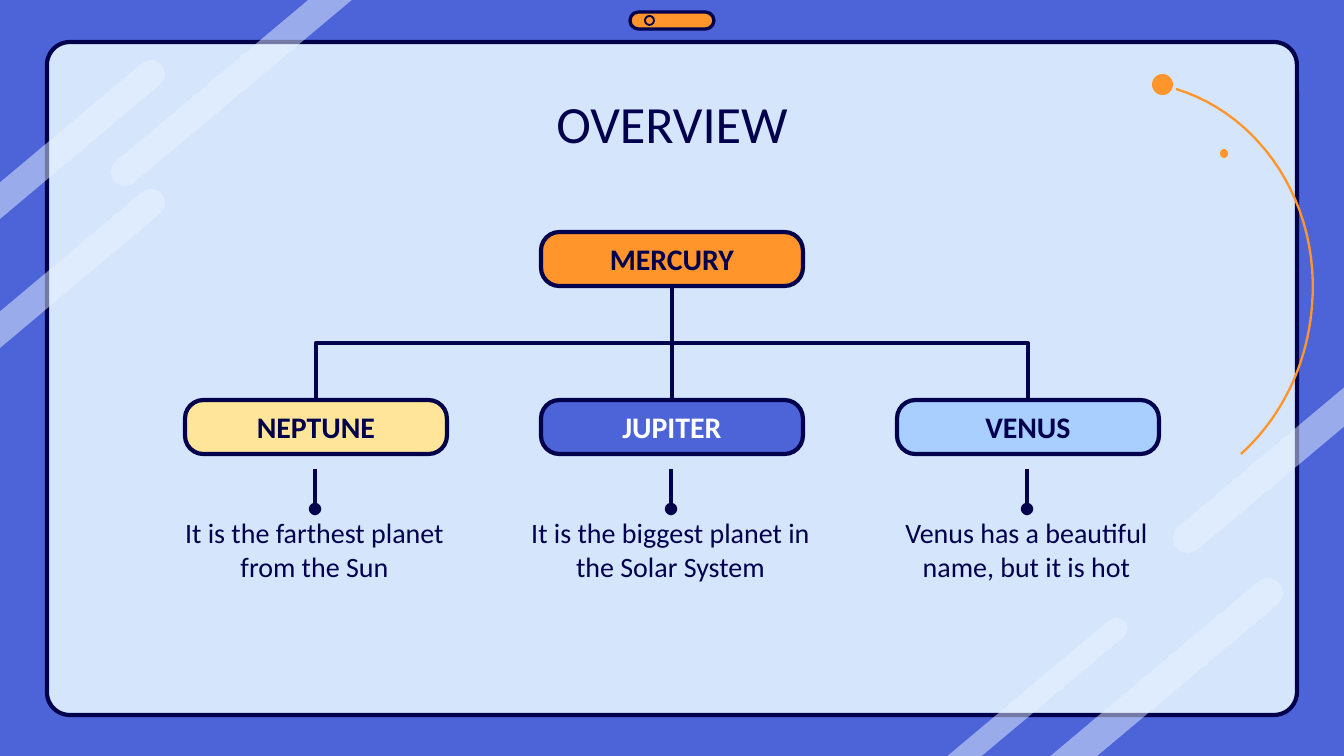
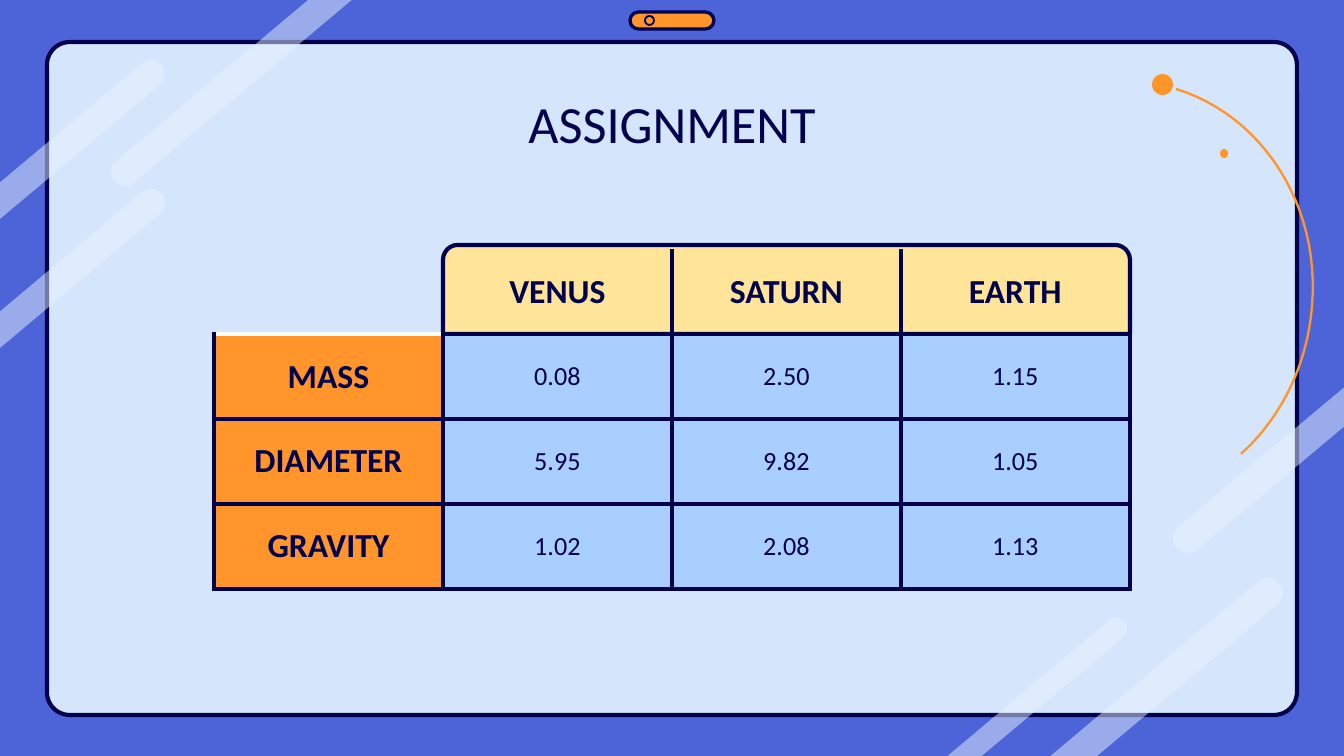
"""Build a planet overview slide and a planet data table slide."""
import math
from typing import NamedTuple, Optional

import pptx
import pptx.dml.color
import pptx.enum.shapes
import pptx.enum.text
import pptx.oxml
import pptx.oxml.ns
import pptx.util

SLIDE_WIDTH, SLIDE_HEIGHT = 1344, 756
EMU_PER_PX = 9144000 / SLIDE_WIDTH
FONT = "Calibri"
NAVY, BLUE, SKY, PANEL = "00004D", "4C64D8", "A8CFFF", "D5E6FC"
ORANGE, CREAM, GLARE, WHITE = "FF952B", "FFE599", "E9F3FF", "FFFFFF"
LINE_POINTS = 2.25
INSET = 13
STRIPE_ANGLE = 40
SHAPES = pptx.enum.shapes.MSO_SHAPE
CONNECTORS = pptx.enum.shapes.MSO_CONNECTOR
ANCHORS = pptx.enum.text.MSO_ANCHOR
qn = pptx.oxml.ns.qn


class Box(NamedTuple):
    left: int
    top: int
    width: int
    height: int


class Point(NamedTuple):
    x: float
    y: float


class Stripe(NamedTuple):
    cap: Point
    radius: int
    edge_x: Optional[int] = None
    edge_y: Optional[int] = None


class Planet(NamedTuple):
    name: str
    fill: str
    text_color: str
    description: str


STRIPES = [
    Stripe(Point(1268, 593), 15, edge_y=SLIDE_HEIGHT),
    Stripe(Point(1116, 629), 11, edge_y=SLIDE_HEIGHT),
    Stripe(Point(125, 172), 14, edge_y=0),
    Stripe(Point(151, 74), 14, edge_x=0),
    Stripe(Point(151, 203), 14, edge_x=0),
    Stripe(Point(1188, 538), 15, edge_x=SLIDE_WIDTH),
]
ORBIT_CURVES = [
    (Point(1176, 89), Point(1261, 115), Point(1321, 204), Point(1312, 307)),
    (Point(1312, 307), Point(1307, 367), Point(1280, 419), Point(1241, 454)),
]
PLANETS = [
    Planet("NEPTUNE", CREAM, NAVY, "It is the farthest planet from the Sun"),
    Planet("JUPITER", BLUE, WHITE, "It is the biggest planet in the Solar System"),
    Planet("VENUS", SKY, NAVY, "Venus has a beautiful name, but it is hot"),
]
TABLE_ROWS = [
    ["", "VENUS", "SATURN", "EARTH"],
    ["MASS", "0.08", "2.50", "1.15"],
    ["DIAMETER", "5.95", "9.82", "1.05"],
    ["GRAVITY", "1.02", "2.08", "1.13"],
]
NODE_WIDTH, NODE_HEIGHT, NODE_PITCH = 262, 54, 356
NODE_LEFT, ROOT_TOP, CHILD_TOP = 185, 232, 400
COLUMN_WIDTH, ROW_HEIGHT = 229, 85


def px(length: float) -> pptx.util.Emu:
    return pptx.util.Emu(round(length * EMU_PER_PX))


def rgb(color: str) -> pptx.dml.color.RGBColor:
    return pptx.dml.color.RGBColor.from_string(color)


def write_text(frame, text: str, *, size: int, color: str = NAVY,
               bold: bool = False) -> None:
    paragraph = frame.paragraphs[0]
    paragraph.alignment = pptx.enum.text.PP_ALIGN.CENTER
    run = paragraph.add_run()
    run.text = text
    run.font.name = FONT
    run.font.size = pptx.util.Pt(size)
    run.font.bold = bold
    run.font.color.rgb = rgb(color)


def set_insets(frame) -> None:
    frame.margin_left = frame.margin_right = px(INSET)
    frame.margin_top = frame.margin_bottom = px(INSET)


def add_text(slide, box: Box, text: str, *, size: int):
    frame = slide.shapes.add_textbox(*map(px, box)).text_frame
    frame.word_wrap = True
    set_insets(frame)
    write_text(frame, text, size=size)


def style_shape(shape, fill: Optional[str], line_points: float = 0,
                line_color: str = NAVY) -> None:
    shape.shadow.inherit = False
    if fill:
        shape.fill.solid()
        shape.fill.fore_color.rgb = rgb(fill)
    else:
        shape.fill.background()
    if line_points:
        shape.line.color.rgb = rgb(line_color)
        shape.line.width = pptx.util.Pt(line_points)
    else:
        shape.line.fill.background()


def add_shape(slide, kind, box: Box, fill: Optional[str],
              line_points: float = 0, adjustments: tuple = ()):
    shape = slide.shapes.add_shape(kind, *map(px, box))
    for index, value in enumerate(adjustments):
        shape.adjustments[index] = value
    style_shape(shape, fill, line_points)
    return shape


def add_outline(slide, points: list[Point], close: bool):
    vertices = [(px(point.x), px(point.y)) for point in points]
    builder = slide.shapes.build_freeform(*vertices[0])
    builder.add_line_segments(vertices[1:], close=close)
    return builder.convert_to_shape()


def polar(center: Point, radius: float, degrees: float) -> Point:
    angle = math.radians(degrees)
    return Point(center.x + radius * math.cos(angle),
                 center.y - radius * math.sin(angle))


def extend_to_edge(start: Point, stripe: Stripe) -> Point:
    slope = -math.tan(math.radians(STRIPE_ANGLE))
    if stripe.edge_x is not None:
        return Point(stripe.edge_x, start.y + (stripe.edge_x - start.x) * slope)
    return Point(start.x + (stripe.edge_y - start.y) / slope, stripe.edge_y)


def add_stripe(slide, stripe: Stripe) -> None:
    runs_down = stripe.edge_x == 0 or stripe.edge_y == SLIDE_HEIGHT
    first_angle = STRIPE_ANGLE + (-90 if runs_down else 90)
    cap = [polar(stripe.cap, stripe.radius, first_angle + step)
           for step in range(0, 181, 15)]
    points = [extend_to_edge(cap[0], stripe), *cap,
              extend_to_edge(cap[-1], stripe)]
    shape = add_outline(slide, points, close=True)
    style_shape(shape, GLARE)
    color = shape.element.spPr.find(qn("a:solidFill")).find(qn("a:srgbClr"))
    pptx.oxml.ns.nsdecls("a")
    color.append(make_element("<a:alpha {ns} val='50000'/>"))


def make_element(markup: str):
    return pptx.oxml.parse_xml(markup.format(ns=pptx.oxml.ns.nsdecls("a")))


def curve_point(curve: tuple, t: float) -> Point:
    weights = [math.comb(3, k) * t ** k * (1 - t) ** (3 - k) for k in range(4)]
    return Point(sum(w * p.x for w, p in zip(weights, curve)),
                 sum(w * p.y for w, p in zip(weights, curve)))


def add_orbit(slide) -> None:
    points = [curve_point(curve, step / 24)
              for curve in ORBIT_CURVES for step in range(25)]
    style_shape(add_outline(slide, points, close=False), None, 1.25, ORANGE)
    for box in (Box(1220, 149, 8, 9), Box(1152, 74, 21, 21)):
        add_shape(slide, SHAPES.OVAL, box, ORANGE)


def add_connector(slide, kind, begin: Point, end: Point):
    connector = slide.shapes.add_connector(
        kind, px(begin.x), px(begin.y), px(end.x), px(end.y))
    connector.line.color.rgb = rgb(NAVY)
    connector.line.width = pptx.util.Pt(LINE_POINTS)
    connector.element.spPr.append(make_element("<a:effectLst {ns}/>"))
    return connector


def add_elbow(slide, child: Point, root: Point) -> None:
    middle_x, middle_y = (child.x + root.x) / 2, (child.y + root.y) / 2
    half_run, half_rise = abs(child.x - root.x) / 2, (child.y - root.y) / 2
    side = 1 if child.x > root.x else -1
    connector = add_connector(
        slide, CONNECTORS.ELBOW,
        Point(middle_x + side * half_rise, middle_y - half_run),
        Point(middle_x - side * half_rise, middle_y + half_run))
    connector.element.spPr.find(qn("a:xfrm")).set(
        "rot", str(60000 * (90 if side > 0 else 270)))


def add_node(slide, left: int, top: int, name: str, fill: str, color: str):
    node = add_shape(slide, SHAPES.ROUNDED_RECTANGLE,
                     Box(left, top, NODE_WIDTH, NODE_HEIGHT), fill,
                     LINE_POINTS, (0.34,))
    set_insets(node.text_frame)
    node.text_frame.vertical_anchor = ANCHORS.MIDDLE
    write_text(node.text_frame, name, size=16, color=color, bold=True)
    return node


def add_base_slide(presentation, title: str):
    slide = presentation.slides.add_slide(presentation.slide_layouts[6])
    slide.background.fill.solid()
    slide.background.fill.fore_color.rgb = rgb(BLUE)
    add_shape(slide, SHAPES.ROUNDED_RECTANGLE, Box(47, 42, 1250, 673), PANEL,
              LINE_POINTS, (0.034,))
    for stripe in STRIPES:
        add_stripe(slide, stripe)
    add_shape(slide, SHAPES.ROUNDED_RECTANGLE, Box(630, 12, 84, 17), ORANGE,
              1.75, (0.5,))
    add_shape(slide, SHAPES.OVAL, Box(645, 16, 9, 9), None, 1)
    add_orbit(slide)
    add_text(slide, Box(106, 78, 1132, 85), title, size=28)
    return slide


def add_overview_slide(presentation) -> None:
    slide = add_base_slide(presentation, "OVERVIEW")
    root = add_node(slide, NODE_LEFT + NODE_PITCH, ROOT_TOP, "MERCURY",
                    ORANGE, NAVY)
    root_exit = Point(SLIDE_WIDTH / 2, ROOT_TOP + NODE_HEIGHT)
    for index, planet in enumerate(PLANETS):
        left = NODE_LEFT + index * NODE_PITCH
        center = left + NODE_WIDTH / 2
        node = add_node(slide, left, CHILD_TOP, planet.name, planet.fill,
                        planet.text_color)
        entry = Point(center, CHILD_TOP)
        if center == root_exit.x:
            trunk = add_connector(slide, CONNECTORS.STRAIGHT, root_exit, entry)
            trunk.begin_connect(root, 2)
            trunk.end_connect(node, 0)
        else:
            add_elbow(slide, entry, root_exit)
        stem = add_connector(slide, CONNECTORS.STRAIGHT,
                             Point(center - 1, 469), Point(center - 1, 509))
        stem.element.spPr.find(qn("a:ln")).append(
            make_element("<a:tailEnd {ns} type='oval'/>"))
        add_text(slide, Box(left - 34, 503, 327, 102), planet.description,
                 size=15)


def border_colors(row: int, column: int) -> dict[str, str]:
    if row == 0 and column == 0:
        return {"B": WHITE}
    if row == 0:
        sides = {1: "RB", 2: "LRB", 3: "LB"}[column]
        return dict.fromkeys(sides, NAVY)
    colors = dict.fromkeys("LRTB", NAVY)
    if row == 1 and column == 0:
        colors["T"] = WHITE
    return colors


def set_borders(cell, colors: dict[str, str]) -> None:
    properties = cell._tc.get_or_add_tcPr()
    for side in "LRTB":
        paint = "<a:noFill/>"
        if side in colors:
            paint = f"<a:solidFill><a:srgbClr val='{colors[side]}'/></a:solidFill>"
        width = pptx.util.Pt(LINE_POINTS)
        properties.append(make_element(
            f"<a:ln{side} {{ns}} w='{width}'>{paint}</a:ln{side}>"))


def add_assignment_slide(presentation) -> None:
    slide = add_base_slide(presentation, "ASSIGNMENT")
    add_shape(slide, SHAPES.ROUND_2_SAME_RECTANGLE, Box(443, 245, 687, 89),
              CREAM, LINE_POINTS, (0.167, 0))
    size = len(TABLE_ROWS)
    box = Box(214, 249, size * COLUMN_WIDTH, size * ROW_HEIGHT)
    table = slide.shapes.add_table(size, size, *map(px, box)).table
    table.first_row = table.horz_banding = False
    for row, texts in enumerate(TABLE_ROWS):
        for column, text in enumerate(texts):
            cell = table.cell(row, column)
            set_borders(cell, border_colors(row, column))
            if row:
                cell.fill.solid()
                cell.fill.fore_color.rgb = rgb(SKY if column else ORANGE)
            else:
                cell.fill.background()
            if text:
                heading = row == 0 or column == 0
                set_insets(cell)
                cell.vertical_anchor = ANCHORS.MIDDLE
                write_text(cell.text_frame, text, size=18 if heading else 14,
                           bold=heading)


def main() -> None:
    presentation = pptx.Presentation()
    presentation.slide_width = px(SLIDE_WIDTH)
    presentation.slide_height = px(SLIDE_HEIGHT)
    add_overview_slide(presentation)
    add_assignment_slide(presentation)
    presentation.save("out.pptx")


if __name__ == "__main__":
    main()
